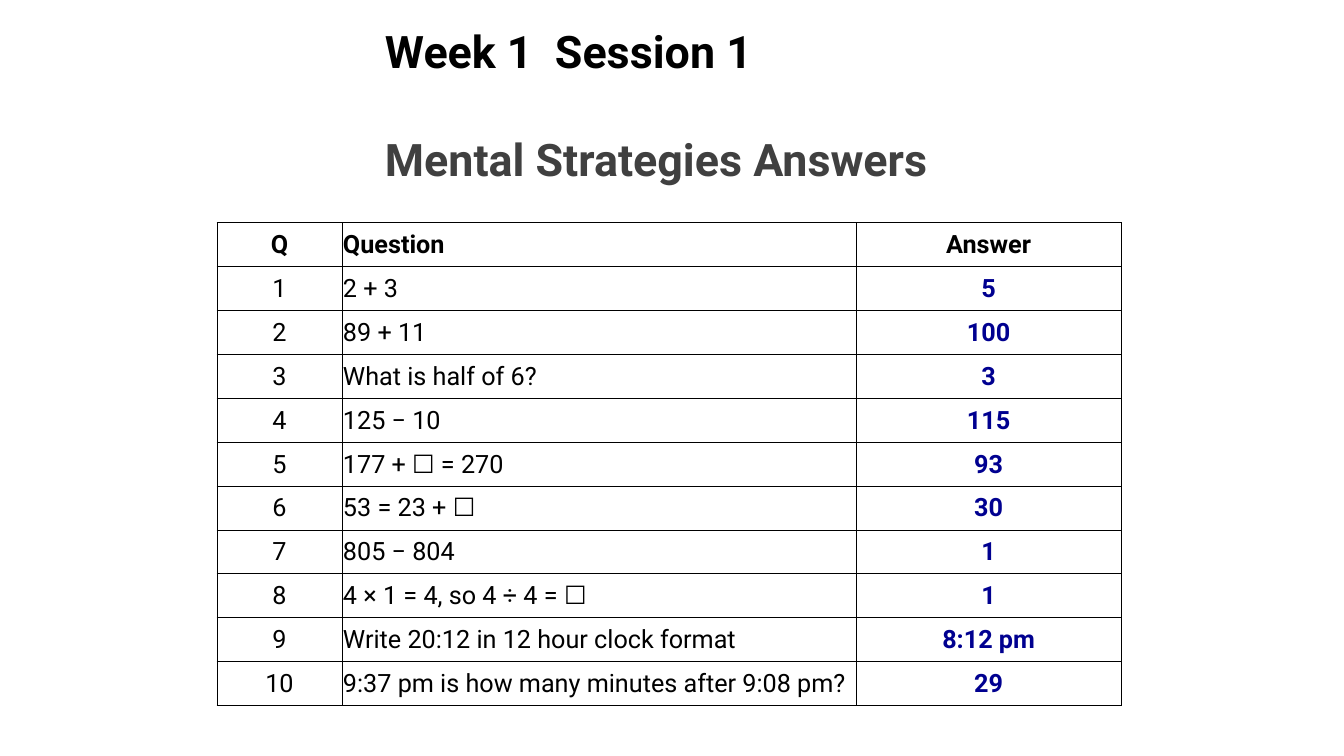
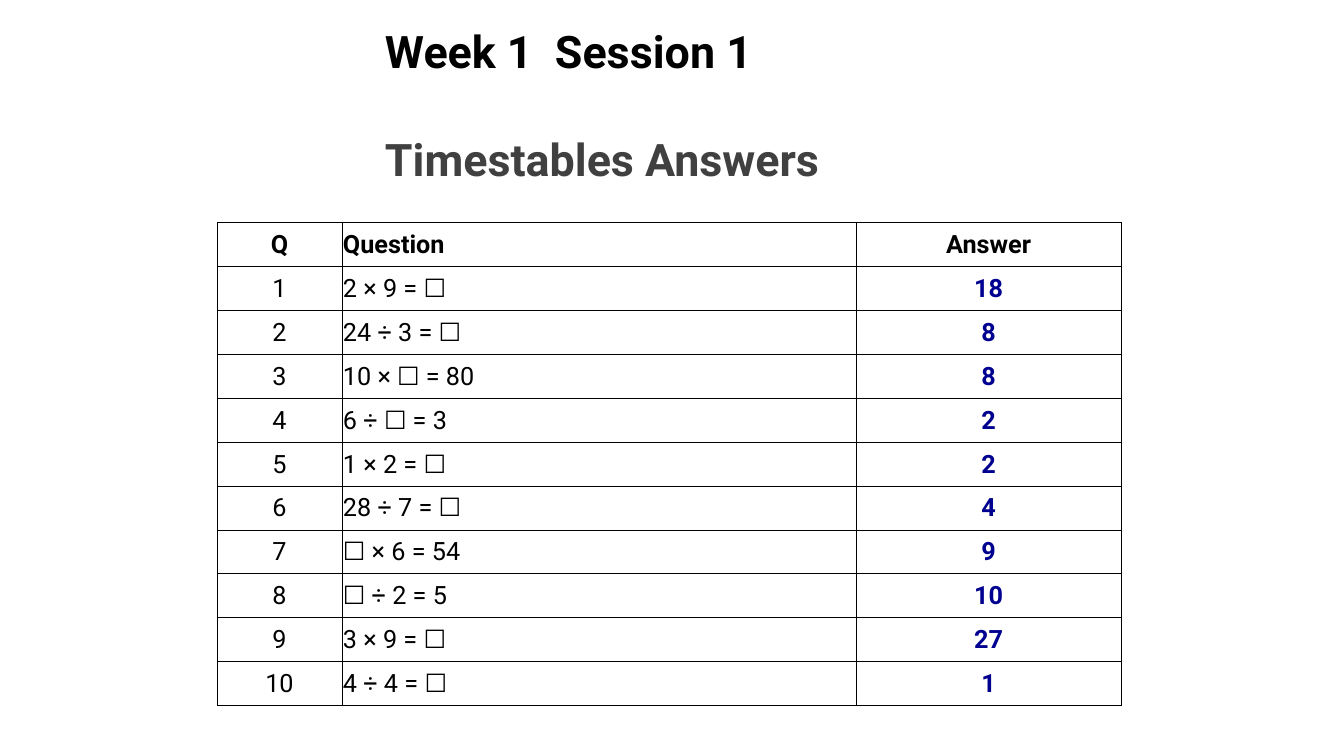
from dataclasses import dataclass

from lxml.etree import SubElement
from pptx import Presentation
from pptx.dml.color import RGBColor
from pptx.enum.text import MSO_ANCHOR, MSO_AUTO_SIZE, PP_ALIGN
from pptx.oxml.ns import qn
from pptx.util import Pt


@dataclass(frozen=True)
class Theme:
    font: str = "Roboto"
    text: str = "000000"
    subtitle: str = "404040"
    answer: str = "000090"
    border: str = "000000"
    title_size: float = 32
    table_size: float = 18
    border_width: float = 0.5


THEME = Theme()
TITLE_ONLY_LAYOUT = 5

# Places and sizes, in points
TITLE_BOX = {"left": 267.8, "top": 13, "width": 561.6, "height": 123.8}
SUBTITLE_GAP = 39
TABLE_LEFT, TABLE_TOP = 155, 159
COLUMN_WIDTHS = (89.3, 367.2, 189.4)
ROW_HEIGHT = 31.36
CELL_FORMAT = {
    "margin_left": Pt(0.72),
    "margin_top": Pt(0.72),
    "margin_right": Pt(0.72),
    "margin_bottom": Pt(0),
    "vertical_anchor": MSO_ANCHOR.MIDDLE,
}

SESSION = "Week 1  Session 1"
HEADINGS = ("Q", "Question", "Answer")
COLUMN_ALIGNMENTS = (PP_ALIGN.CENTER, PP_ALIGN.LEFT, PP_ALIGN.CENTER)

ANSWER_SHEETS = {
    "Mental Strategies Answers": [
        ("2 + 3", "5"),
        ("89 + 11", "100"),
        ("What is half of 6?", "3"),
        ("125 − 10", "115"),
        ("177 + ☐ = 270", "93"),
        ("53 = 23 + ☐", "30"),
        ("805 − 804", "1"),
        ("4 × 1 = 4, so 4 ÷ 4 = ☐", "1"),
        ("Write 20:12 in 12 hour clock format", "8:12 pm"),
        ("9:37 pm is how many minutes after 9:08 pm?", "29"),
    ],
    "Timestables Answers": [
        ("2 × 9 = ☐", "18"),
        ("24 ÷ 3 = ☐", "8"),
        ("10 × ☐ = 80", "8"),
        ("6 ÷ ☐ = 3", "2"),
        ("1 × 2 = ☐", "2"),
        ("28 ÷ 7 = ☐", "4"),
        ("☐ × 6 = 54", "9"),
        ("☐ ÷ 2 = 5", "10"),
        ("3 × 9 = ☐", "27"),
        ("4 ÷ 4 = ☐", "1"),
    ],
}


def apply_format(target, values):
    for name, value in values.items():
        setattr(target, name, value)


def write(paragraph, text, size, color, bold, alignment=PP_ALIGN.LEFT):
    paragraph.alignment = alignment
    run = paragraph.add_run()
    run.text = text
    apply_format(run.font, {"name": THEME.font, "size": Pt(size), "bold": bold})
    run.font.color.rgb = RGBColor.from_string(color)


def add_title(slide, subtitle):
    title = slide.shapes.title
    apply_format(title, {name: Pt(value) for name, value in TITLE_BOX.items()})
    frame = title.text_frame
    apply_format(frame, {
        "word_wrap": True,
        "auto_size": MSO_AUTO_SIZE.SHAPE_TO_FIT_TEXT,
        "vertical_anchor": MSO_ANCHOR.TOP,
    })
    write(frame.paragraphs[0], SESSION, THEME.title_size, THEME.text, True)
    paragraph = frame.add_paragraph()
    paragraph.space_before = Pt(SUBTITLE_GAP)
    write(paragraph, subtitle, THEME.title_size, THEME.subtitle, True)


def add_borders(cell):
    properties = cell._tc.get_or_add_tcPr()
    for side in ("a:lnL", "a:lnR", "a:lnT", "a:lnB"):
        line = SubElement(properties, qn(side), w=str(Pt(THEME.border_width)))
        fill = SubElement(line, qn("a:solidFill"))
        SubElement(fill, qn("a:srgbClr"), val=THEME.border)


def add_answer_table(slide, questions):
    rows = [HEADINGS]
    rows += [(str(number), *pair) for number, pair in enumerate(questions, 1)]
    table = slide.shapes.add_table(
        len(rows), len(HEADINGS), Pt(TABLE_LEFT), Pt(TABLE_TOP),
        Pt(sum(COLUMN_WIDTHS)), Pt(ROW_HEIGHT * len(rows))).table
    apply_format(table, {"first_row": False, "horz_banding": False})
    for column, width in zip(table.columns, COLUMN_WIDTHS):
        column.width = Pt(width)

    for row_index, row in enumerate(rows):
        table.rows[row_index].height = Pt(ROW_HEIGHT)
        is_heading = row_index == 0
        for column_index, text in enumerate(row):
            is_answer = not is_heading and HEADINGS[column_index] == "Answer"
            cell = table.cell(row_index, column_index)
            apply_format(cell, CELL_FORMAT)
            add_borders(cell)
            cell.fill.background()
            write(cell.text_frame.paragraphs[0], text, THEME.table_size,
                  THEME.answer if is_answer else THEME.text,
                  is_heading or is_answer, COLUMN_ALIGNMENTS[column_index])


def main():
    presentation = Presentation()
    apply_format(presentation, {"slide_width": Pt(960), "slide_height": Pt(540)})
    layout = presentation.slide_layouts[TITLE_ONLY_LAYOUT]
    for subtitle, questions in ANSWER_SHEETS.items():
        slide = presentation.slides.add_slide(layout)
        add_title(slide, subtitle)
        add_answer_table(slide, questions)
    presentation.save("out.pptx")


if __name__ == "__main__":
    main()
